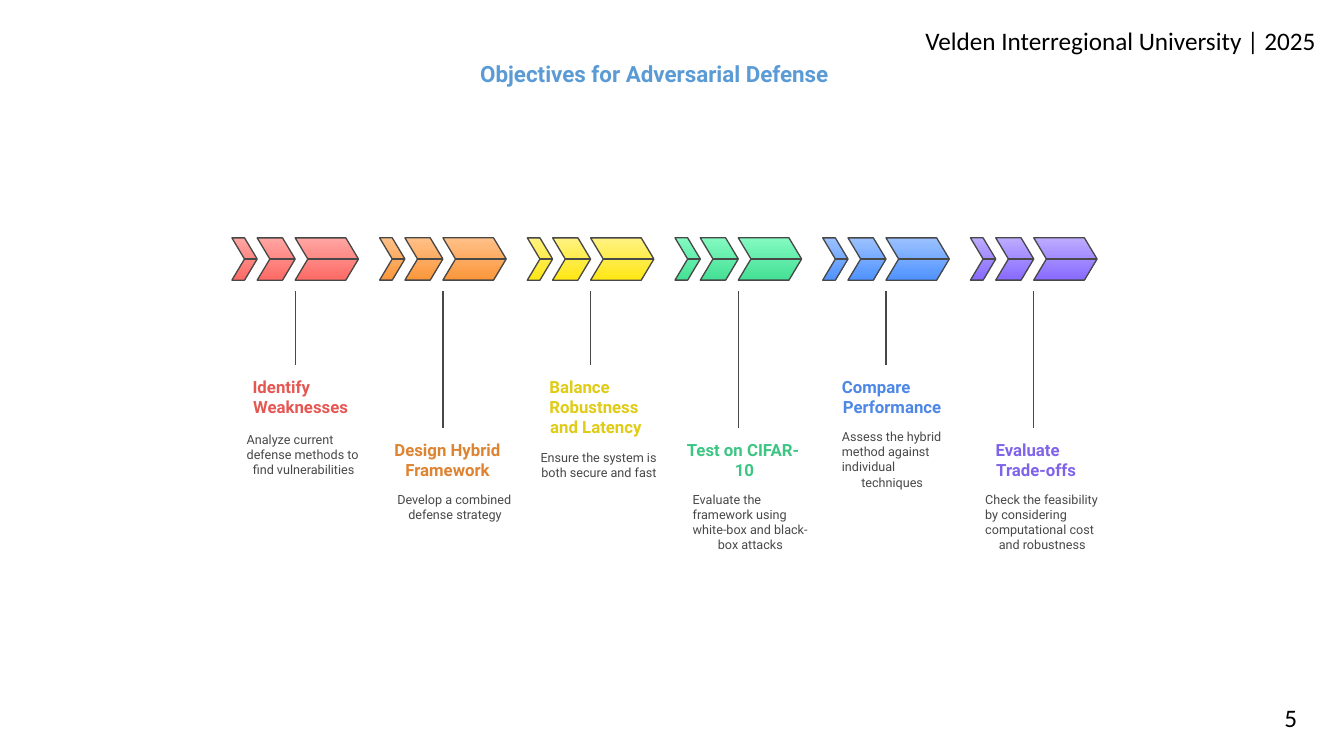
from dataclasses import dataclass
from typing import NamedTuple

from pptx import Presentation
from pptx.dml.color import RGBColor
from pptx.enum.text import MSO_AUTO_SIZE, PP_ALIGN
from pptx.util import Inches, Pt


@dataclass(frozen=True)
class Theme:
    body_font: str = "Roboto"
    page_font: str = "Calibri"
    title_color: str = "5B9BD5"
    ink: str = "484848"
    page_ink: str = "000000"
    page_size: int = 18
    title_size: int = 16
    heading_size: int = 12
    detail_size: int = 9
    stroke: float = 0.94
    coral: tuple = ("FFA6A3", "FD6A65", "E55753")
    orange: tuple = ("FFC188", "FA963A", "DE8431")
    yellow: tuple = ("FFF282", "FFE714", "E0CB15")
    green: tuple = ("83FAC1", "44E095", "3CC583")
    blue: tuple = ("9CC2FF", "4F92FF", "4E88E7")
    violet: tuple = ("BCABFF", "886AFF", "7F64EA")


class Step(NamedTuple):
    hues: tuple
    heading: str
    heading_left: float
    heading_width: float
    detail: str
    detail_left: float
    detail_width: float
    detail_row: float


WIDTH, HEIGHT = 13.33, 7.5
GRID_LEFT, GRID_TOP, COLUMN, ROW = 2.3, 2.36, 1.465, 0.21
CHEVRON_UNIT = 0.0857
CHEVRONS = ((5, 4), (2, 2), (0, 1))
HEADING_LINE, DETAIL_LINE = 0.96, 0.72


class ObjectivesSlide:
    """Draw objectives on one slide with a shared theme and grid."""

    def __init__(self, deck, theme):
        self.theme = theme
        self.shapes = deck.slides.add_slide(deck.slide_layouts[6]).shapes

    def point(self, column, row):
        return Inches(GRID_LEFT + column * COLUMN), Inches(GRID_TOP + row * ROW)

    def cell(self, column, row, columns, rows):
        return *self.point(column, row), Inches(columns * COLUMN), Inches(rows * ROW)

    def percent(self, left, top, width, height):
        return (Inches(left * WIDTH / 100), Inches(top * HEIGHT / 100),
                Inches(width * WIDTH / 100), Inches(height * HEIGHT / 100))

    def text_area(self, frame):
        area = self.shapes.add_textbox(*frame).text_frame
        area.word_wrap = False
        area.auto_size = MSO_AUTO_SIZE.SHAPE_TO_FIT_TEXT
        return area

    def text(self, frame, wording, size, color, bold=False):
        area = self.text_area(frame)
        area.margin_left = area.margin_right = area.margin_top = area.margin_bottom = 0
        area.paragraphs[0].alignment = PP_ALIGN.CENTER
        self.run(area.paragraphs[0], wording, self.theme.body_font, size, color, bold)

    def page_text(self, frame, wording):
        self.run(self.text_area(frame).paragraphs[0], wording, self.theme.page_font,
                 self.theme.page_size, self.theme.page_ink)

    def run(self, paragraph, wording, font, size, color, bold=False):
        run = paragraph.add_run()
        run.text = wording
        run.font.name, run.font.size, run.font.bold = font, Pt(size), bold
        run.font.color.rgb = RGBColor.from_string(color)

    def chevrons(self, column, stem_bottom=None):
        def at(unit, row):
            return self.point(column + unit * CHEVRON_UNIT, row)

        outline = self.shapes.build_freeform(*at(5, 0))
        for start, length in CHEVRONS:
            flat, tip, notch = start + length, start + length + 1, start + 1
            outline.move_to(*at(start, 0))
            outline.add_line_segments(
                [at(flat, 0), at(tip, 1), at(flat, 2), at(start, 2), at(notch, 1)],
                close=True)
            outline.move_to(*at(notch, 1))
            outline.add_line_segments([at(tip, 1)], close=False)
        if stem_bottom is not None:
            outline.move_to(*at(5, stem_bottom))
            outline.add_line_segments([at(5, 2.5)], close=False)
        arrow = outline.convert_to_shape()
        arrow.shadow.inherit = False
        return arrow

    def filled_chevrons(self, column, hues):
        arrow = self.chevrons(column)
        arrow.line.fill.background()
        arrow.fill.gradient()
        arrow.fill.gradient_angle = 270
        for stop, hue in zip(arrow.fill.gradient_stops, hues):
            stop.color.rgb = RGBColor.from_string(hue)

    def outlined_chevrons(self, column, stem_bottom):
        arrow = self.chevrons(column, stem_bottom)
        arrow.fill.background()
        arrow.line.color.rgb = RGBColor.from_string(self.theme.ink)
        arrow.line.width = Pt(self.theme.stroke)

    def step(self, column, step):
        theme = self.theme
        top = 9.53 if column % 2 else 6.54
        self.filled_chevrons(column, step.hues)
        self.outlined_chevrons(column, top - 0.55)
        heading_rows = (step.heading.count("\n") + 1) * HEADING_LINE
        self.text(self.cell(column + step.heading_left, top, step.heading_width, heading_rows),
                  step.heading, theme.heading_size, step.hues[2], bold=True)
        detail_rows = (step.detail.count("\n") + 1) * DETAIL_LINE
        self.text(self.cell(column + step.detail_left, step.detail_row,
                            step.detail_width, detail_rows),
                  step.detail, theme.detail_size, theme.ink)


def main():
    theme = Theme()
    steps = (
        Step(theme.coral, "Identify\nWeaknesses", 0.14, 0.65,
             "Analyze current\ndefense methods to\nfind vulnerabilities", 0.1, 0.77, 9.17),
        Step(theme.orange, "Design Hybrid\nFramework", 0.1, 0.72,
             "Develop a combined\ndefense strategy", 0.12, 0.78, 12),
        Step(theme.yellow, "Balance\nRobustness\nand Latency", 0.15, 0.63,
             "Ensure the system is\nboth secure and fast", 0.09, 0.79, 10),
        Step(theme.green, "Test on CIFAR-\n10", 0.08, 0.78,
             "Evaluate the\nframework using\nwhite-box and black-\nbox attacks", 0.12, 0.78, 12),
        Step(theme.blue, "Compare\nPerformance", 0.13, 0.68,
             "Assess the hybrid\nmethod against\nindividual\ntechniques", 0.13, 0.68, 9.03),
        Step(theme.violet, "Evaluate\nTrade-offs", 0.17, 0.55,
             "Check the feasibility\nby considering\ncomputational cost\nand robustness",
             0.1, 0.77, 12),
    )
    deck = Presentation()
    deck.slide_width, deck.slide_height = Inches(WIDTH), Inches(HEIGHT)
    slide = ObjectivesSlide(deck, theme)
    slide.text(slide.percent(35.56, 8, 26.26, 3.6), "Objectives for Adversarial Defense",
               theme.title_size, theme.title_color, bold=True)
    for column, step in enumerate(steps):
        slide.step(column, step)
    slide.page_text(slide.percent(68.12, 2.67, 30.83, 5.33),
                    "Velden Interregional University | 2025")
    slide.page_text(slide.percent(94.82, 92.27, 2.48, 5.33), "5")
    deck.save("out.pptx")


if __name__ == "__main__":
    main()
